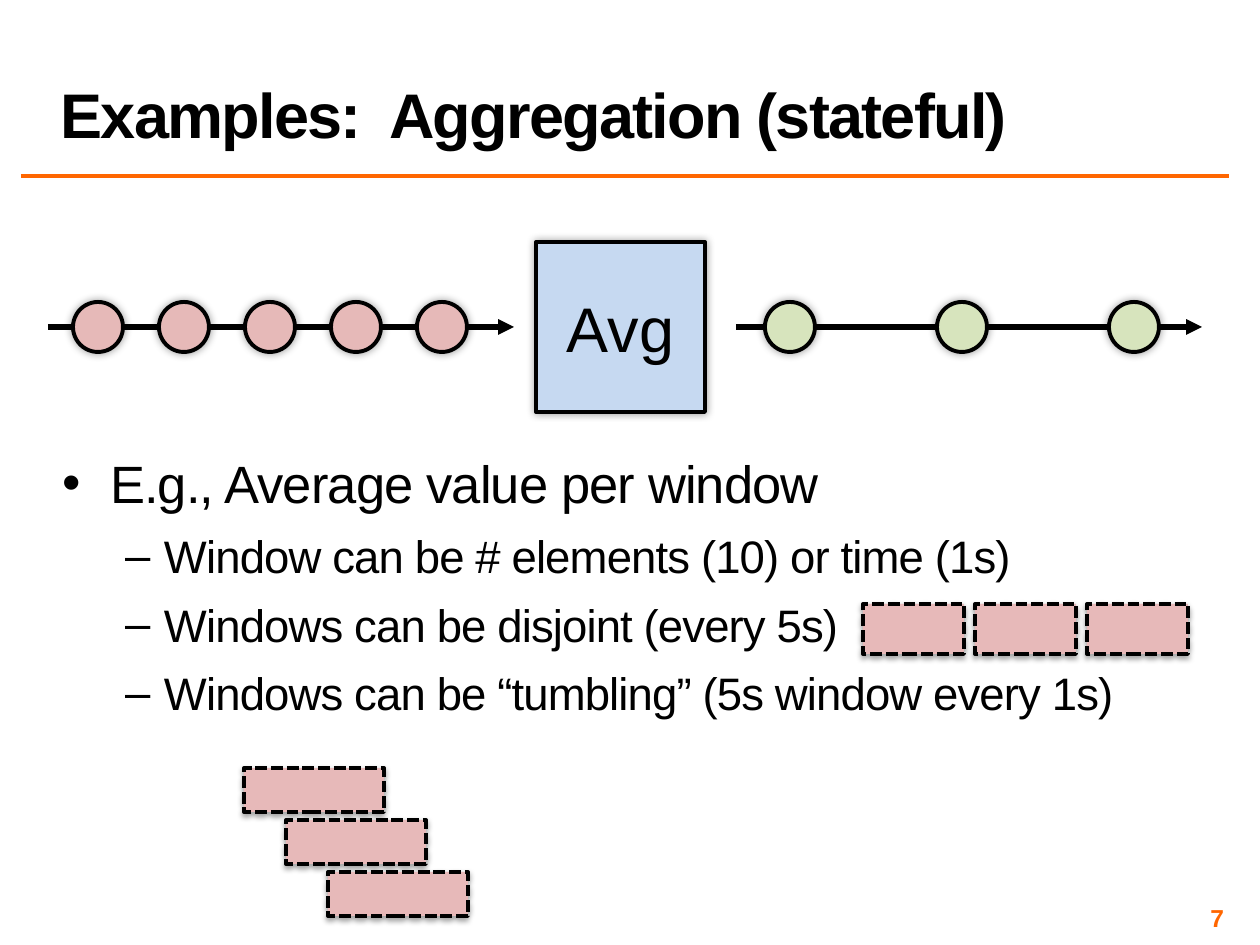
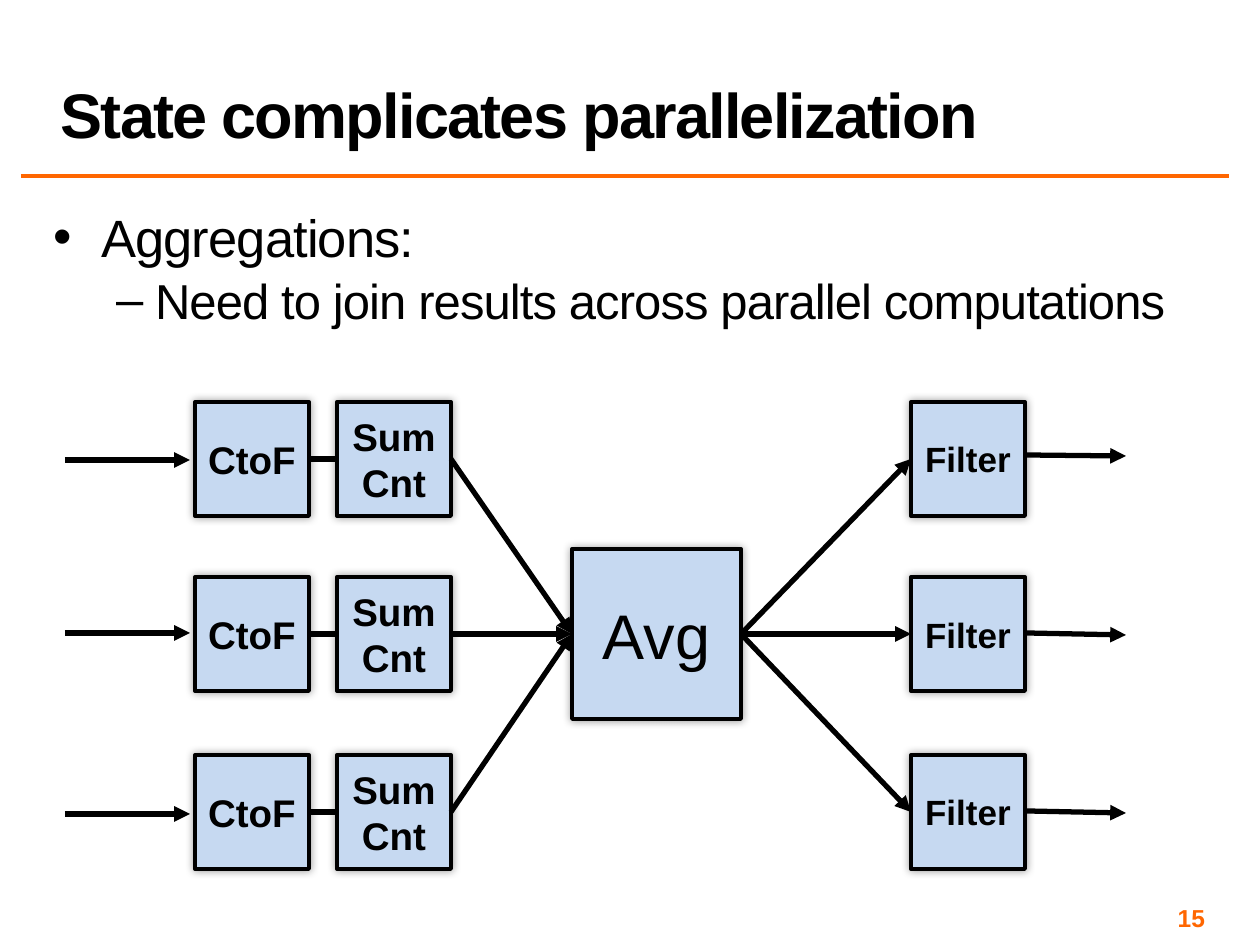
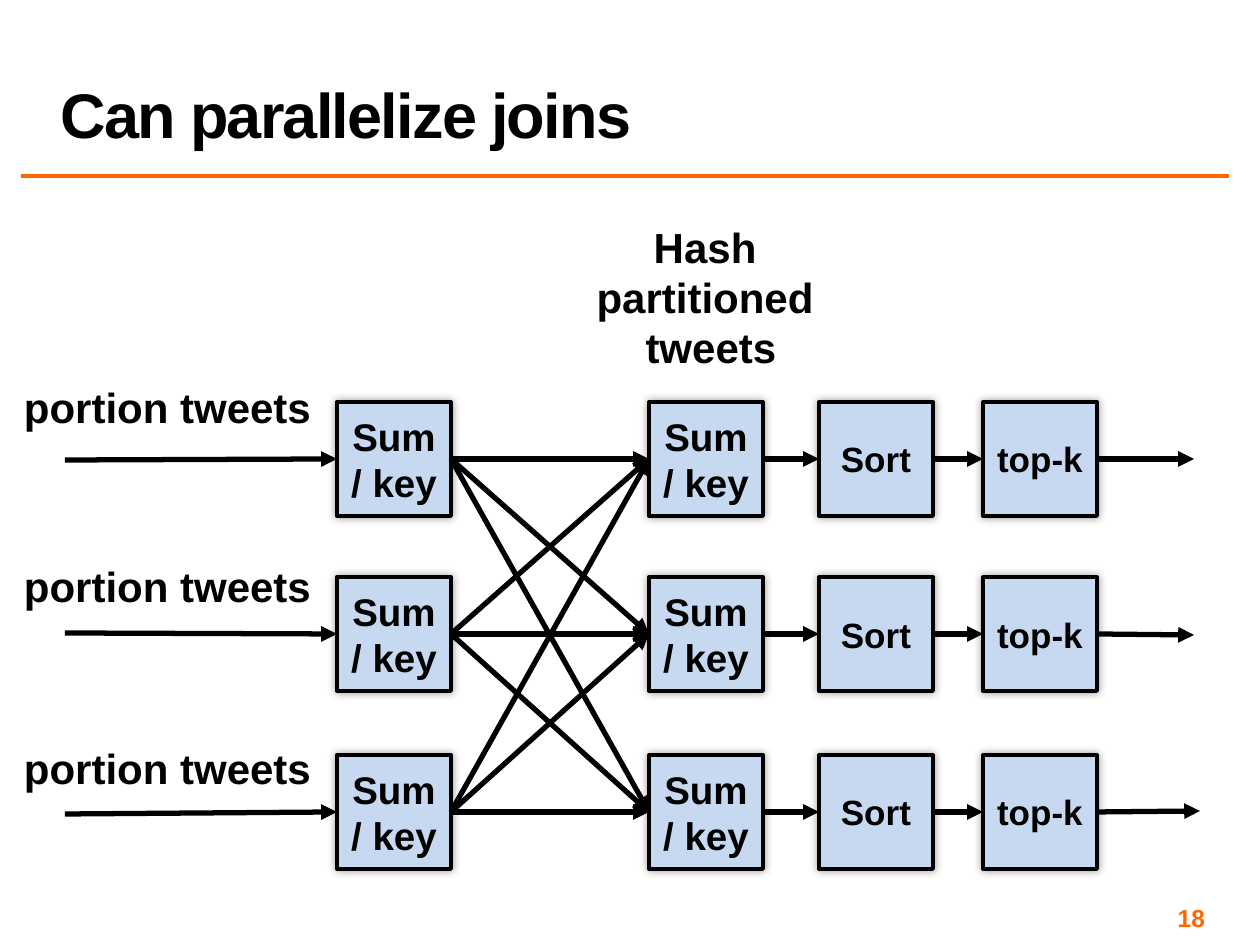
from dataclasses import dataclass

from lxml import etree
from pptx import Presentation
from pptx.dml.color import RGBColor
from pptx.enum.dml import MSO_LINE
from pptx.enum.shapes import MSO_CONNECTOR, MSO_SHAPE
from pptx.enum.text import MSO_ANCHOR, MSO_AUTO_SIZE, PP_ALIGN
from pptx.oxml.ns import qn
from pptx.util import Emu, Pt

STRAIGHT = MSO_CONNECTOR.STRAIGHT
RECTANGLE, OVAL = MSO_SHAPE.RECTANGLE, MSO_SHAPE.OVAL
SQUARE_DASH = MSO_LINE.SQUARE_DOT
LEFT, CENTER, RIGHT = PP_ALIGN.LEFT, PP_ALIGN.CENTER, PP_ALIGN.RIGHT
MIDDLE, BOTTOM = MSO_ANCHOR.MIDDLE, MSO_ANCHOR.BOTTOM
NO_FIT, GROW = MSO_AUTO_SIZE.NONE, MSO_AUTO_SIZE.SHAPE_TO_FIT_TEXT
LEFT_SIDE, RIGHT_SIDE = 1, 3
TITLE_AND_BODY, TITLE_ONLY = 1, 5

PIXELS_PER_INCH = 126


@dataclass(frozen=True)
class Theme:
    font: str = "Arial"
    ink: str = "000000"
    accent: str = "FF6600"
    operator: str = "C6D9F1"
    input_item: str = "E6B9B8"
    output_item: str = "D7E4BD"
    window: str = "E7B9B9"
    title_size: int = 36
    bullet_size: int = 30
    label_size: int = 24
    node_size: int = 22
    small_node_size: int = 20
    number_size: int = 14
    rule_width: float = 2
    outline_width: float = 2.25
    arrow_width: float = 3


THEME = Theme()

# Grid shared by the two dataflow slides
NODE = 114
ROW_TOPS = (402, 577, 755)
ENTRY_LEFT = 65
ENTRY_MIDDLES = (460, 633, 814)
SUM_LEFT = 337


def px(length):
    return Emu(round(length * 914400 / PIXELS_PER_INCH))


def color(value):
    return RGBColor.from_string(value)


# Text

def add_run(paragraph, text, size, bold=False, ink=THEME.ink, spacing=0):
    run = paragraph.add_run()
    run.text = text
    run.font.name = THEME.font
    run.font.size = Pt(size)
    run.font.bold = bold
    run.font.color.rgb = color(ink)
    if spacing:
        run.font._element.set("spc", str(round(spacing * 100)))


def write_lines(frame, lines, size, bold=True, ink=THEME.ink, alignment=CENTER):
    for index, line in enumerate(lines):
        paragraph = frame.add_paragraph() if index else frame.paragraphs[0]
        paragraph.alignment = alignment
        add_run(paragraph, line, size, bold, ink)


def set_margins(frame, margin):
    frame.margin_left = frame.margin_right = px(margin)
    frame.margin_top = frame.margin_bottom = px(margin)


def place(shape, left, top, width, height):
    shape.left, shape.top = px(left), px(top)
    shape.width, shape.height = px(width), px(height)


def add_label(slide, left, top, width, height, lines):
    label = slide.shapes.add_textbox(px(left), px(top), px(width), px(height))
    frame = label.text_frame
    frame.word_wrap = False
    frame.auto_size = GROW
    write_lines(frame, lines, THEME.label_size)


# Lines and shapes

def add_line(slide, start, end, line_color=THEME.ink, width=THEME.arrow_width, arrow=True):
    """Draw a line; an end is a point, or a shape joined at its facing side."""
    start_point = start if isinstance(start, tuple) else (0, 0)
    end_point = end if isinstance(end, tuple) else (0, 0)
    line = slide.shapes.add_connector(
        STRAIGHT, *(px(value) for value in start_point + end_point))
    if not isinstance(start, tuple):
        line.begin_connect(start, RIGHT_SIDE)
    if not isinstance(end, tuple):
        line.end_connect(end, LEFT_SIDE)
    line.line.color.rgb = color(line_color)
    line.line.width = Pt(width)
    properties = line._element.spPr
    if arrow:
        etree.SubElement(properties.find(qn("a:ln")), qn("a:tailEnd"), type="triangle")
    etree.SubElement(properties, qn("a:effectLst"))


def add_shadow(shape, blur, distance, direction, opacity):
    shape.shadow.inherit = False
    effects = shape._element.spPr.find(qn("a:effectLst"))
    shadow = etree.SubElement(
        effects, qn("a:outerShdw"), blurRad=str(Pt(blur)), dist=str(Pt(distance)),
        dir=str(direction * 60000), rotWithShape="0")
    shade = etree.SubElement(shadow, qn("a:srgbClr"), val=THEME.ink)
    etree.SubElement(shade, qn("a:alpha"), val=str(opacity * 1000))


def add_outlined(slide, kind, left, top, width, height, fill):
    shape = slide.shapes.add_shape(kind, px(left), px(top), px(width), px(height))
    shape.fill.solid()
    shape.fill.fore_color.rgb = color(fill)
    shape.line.color.rgb = color(THEME.ink)
    shape.line.width = Pt(THEME.outline_width)
    return shape


def add_operator(slide, left, top, width, height, lines, size, bold=True):
    box = add_outlined(slide, RECTANGLE, left, top, width, height, THEME.operator)
    add_shadow(box, 5, 0, 0, 40)
    set_margins(box.text_frame, 0)
    box.text_frame.vertical_anchor = MIDDLE
    write_lines(box.text_frame, lines, size, bold)
    return box


def add_average(slide, left, top):
    return add_operator(slide, left, top, 169, 170, ["Avg"], THEME.title_size, bold=False)


def add_node_column(slide, left, lines, size=THEME.node_size):
    return [add_operator(slide, left, top, NODE, NODE, lines, size) for top in ROW_TOPS]


def add_stream(slide, left, middle, first, pitch, count, fill):
    """Arrow carrying evenly spaced items; first is the offset of item one."""
    diameter = 50
    add_line(slide, (left, middle), (left + 466, middle))
    for index in range(count):
        item_left = left + first + index * pitch - diameter // 2
        item = add_outlined(slide, OVAL, item_left, middle - diameter // 2,
                            diameter, diameter, fill)
        add_shadow(item, 5, 0, 0, 40)


def add_windows(slide, left, top, width, height, step_right, step_down):
    for index in range(3):
        window = add_outlined(slide, RECTANGLE, left + index * step_right,
                              top + index * step_down, width, height, THEME.window)
        window.line.dash_style = SQUARE_DASH
        add_shadow(window, 3.1, 1.8, 90, 35)


# Slide frame: title, rule and number

def add_framed_slide(presentation, layout, title, number, number_left):
    slide = presentation.slides.add_slide(presentation.slide_layouts[layout])
    add_line(slide, (21, 176), (1229, 176), THEME.accent, THEME.rule_width, arrow=False)

    heading = slide.shapes.title
    place(heading, 48, 10, 1181, 147)
    heading.text_frame.auto_size = NO_FIT
    heading.text_frame.vertical_anchor = BOTTOM
    paragraph = heading.text_frame.paragraphs[0]
    paragraph.alignment = LEFT
    paragraph.line_spacing = 0.8
    add_run(paragraph, title, THEME.title_size, bold=True, spacing=-1)

    number_box = slide.shapes.add_textbox(px(number_left), px(903), px(294), px(29))
    frame = number_box.text_frame
    frame.word_wrap = True
    frame.vertical_anchor = MIDDLE
    set_margins(frame, 5)
    write_lines(frame, [number], THEME.number_size, ink=THEME.accent, alignment=RIGHT)
    return slide


def fill_body(slide, left, top, width, height, heading, points, point_size, point_spacing):
    body = slide.placeholders[1]
    place(body, left, top, width, height)
    frame = body.text_frame
    frame.auto_size = NO_FIT
    set_margins(frame, 5)
    for index, text in enumerate([heading, *points]):
        paragraph = frame.add_paragraph() if index else frame.paragraphs[0]
        paragraph.level = 1 if index else 0
        margin, hanging, mark = (102, 39, "–") if index else (48, 48, "•")
        properties = paragraph._p.get_or_add_pPr()
        properties.set("marL", str(px(margin)))
        properties.set("indent", str(-px(hanging)))
        etree.SubElement(properties, qn("a:buFont"), typeface=THEME.font)
        etree.SubElement(properties, qn("a:buChar"), char=mark)
        paragraph.alignment = LEFT
        paragraph.line_spacing = point_spacing if index else 1.0
        paragraph.space_before = Pt(8 if index else 0)
        add_run(paragraph, text, point_size if index else THEME.bullet_size, spacing=-0.5)


# Slides

def build_aggregation(presentation):
    slide = add_framed_slide(presentation, TITLE_AND_BODY,
                             "Examples:  Aggregation (stateful)", "7", 935)
    fill_body(slide, 57, 446, 1181, 432, "E.g., Average value per window", [
        "Window can be # elements (10) or time (1s)",
        "Windows can be disjoint (every 5s)",
        "Windows can be “tumbling” (5s window every 1s)",
    ], 26, 1.0)
    add_stream(slide, 48, 327, 50, 86, 5, THEME.input_item)
    add_average(slide, 536, 242)
    add_stream(slide, 736, 327, 54, 172, 3, THEME.output_item)
    add_windows(slide, 863, 604, 101, 50, 112, 0)
    add_windows(slide, 244, 768, 140, 44, 42, 52)


def build_state(presentation):
    slide = add_framed_slide(presentation, TITLE_AND_BODY,
                             "State complicates parallelization", "15", 916)
    fill_body(slide, 48, 200, 1181, 208, "Aggregations:",
              ["Need to join results across parallel computations"], 28, 0.8)
    converters = add_node_column(slide, 195, ["CtoF"])
    sums = add_node_column(slide, SUM_LEFT, ["Sum", "Cnt"])
    average = add_average(slide, 572, 549)
    filters = add_node_column(slide, 911, ["Filter"], THEME.small_node_size)

    exits = ((455, 456), (633, 635), (811, 813))
    for converter, partial, selector, entry, (exit_start, exit_end) in zip(
            converters, sums, filters, ENTRY_MIDDLES, exits):
        add_line(slide, (ENTRY_LEFT, entry), (190, entry))
        add_line(slide, converter, partial, arrow=False)
        add_line(slide, partial, average)
        add_line(slide, average, selector)
        add_line(slide, (1027, exit_start), (1126, exit_end))


def build_joins(presentation):
    slide = add_framed_slide(presentation, TITLE_ONLY, "Can parallelize joins", "18", 916)
    partial_sums = add_node_column(slide, SUM_LEFT, ["Sum", "/ key"])
    key_sums = add_node_column(slide, 649, ["Sum", "/ key"])
    sorters = add_node_column(slide, 819, ["Sort"], THEME.small_node_size)
    rankers = add_node_column(slide, 983, ["top-k"], THEME.small_node_size)

    # Every partial sum feeds every key partition
    for partial in partial_sums:
        for key_sum in key_sums:
            add_line(slide, partial, key_sum)

    label_tops = (375, 554, 736)
    exit_ends = ((1194, 459), (1194, 635), (1200, 811))
    for partial, key_sum, sorter, ranker, entry, label_top, exit_end in zip(
            partial_sums, key_sums, sorters, rankers, ENTRY_MIDDLES, label_tops, exit_ends):
        add_label(slide, 10, label_top, 315, 63, ["portion tweets"])
        add_line(slide, (ENTRY_LEFT, entry), partial)
        add_line(slide, key_sum, sorter)
        add_line(slide, sorter, ranker)
        add_line(slide, ranker, exit_end)
    add_label(slide, 583, 215, 244, 165, ["Hash", "partitioned", " tweets"])


def main():
    presentation = Presentation()
    presentation.slide_width, presentation.slide_height = px(1260), px(945)
    build_aggregation(presentation)
    build_state(presentation)
    build_joins(presentation)
    presentation.save("out.pptx")


if __name__ == "__main__":
    main()
